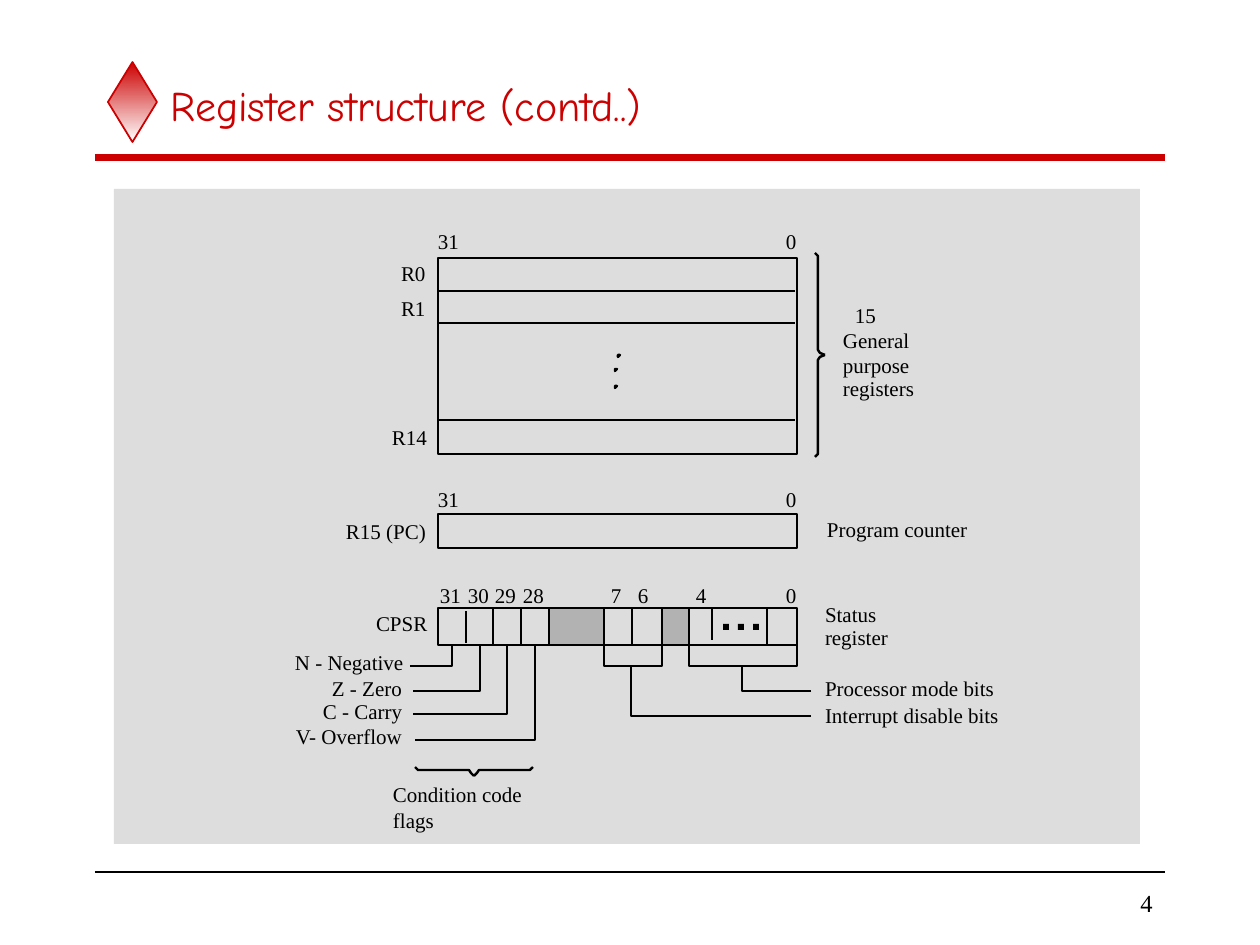
"""Build a slide on the register structure of a 32-bit processor."""
import dataclasses
import typing

import lxml.etree
import pptx
import pptx.dml.color
import pptx.enum.shapes
import pptx.enum.text
import pptx.oxml.ns
import pptx.util

EMU_PER_PX = 914400 / 126
SHAPES = pptx.enum.shapes.MSO_SHAPE
ALIGN = pptx.enum.text.PP_ALIGN
Point = tuple[int, int]


@dataclasses.dataclass(frozen=True)
class Theme:
    red: str = "CC0000"
    black: str = "000000"
    white: str = "FFFFFF"
    panel: str = "DDDDDD"
    unused: str = "B2B2B2"
    title_font: str = "Comic Neue"
    body_font: str = "Times New Roman"
    title_size: int = 24
    number_size: int = 14
    label_size: int = 12
    ink_width: float = 1.39


THEME = Theme()


class Box(typing.NamedTuple):
    left: int
    top: int
    width: int
    height: int


class Label(typing.NamedTuple):
    text: str
    left: int
    top: int
    width: int
    wraps: bool = False


class Stroke(typing.NamedTuple):
    start: Point
    end: Point
    color: str = THEME.black
    width: float = THEME.ink_width


GENERAL = Box(438, 258, 359, 196)
COUNTER = Box(438, 514, 359, 34)
STATUS = Box(438, 608, 359, 37)
UNUSED_BITS = [Box(549, 608, 55, 37), Box(662, 608, 27, 37)]
BIT_GROUPS = [Box(604, 645, 58, 21), Box(689, 645, 108, 21)]
RULES = [
    Stroke((95, 158), (1165, 158), THEME.red, 4),
    Stroke((95, 872), (1165, 872), width=1),
]
ROW_LINES = [Stroke((795, y), (438, y)) for y in (291, 323, 420)]
BIT_LINES = [Stroke((466, 643), (466, 611)), Stroke((712, 640), (712, 608))] + [
    Stroke((x, 645), (x, 608)) for x in (493, 521, 549, 604, 632, 662, 689, 767)
]
FLAG_LEADERS = [
    [(left, y), (bit, y), (bit, 645)]
    for left, bit, y in ((410, 452, 666), (413, 480, 691), (413, 507, 714), (415, 535, 740))
]
MODE_LEADERS = [[(811, y), (bit, y), (bit, 666)] for bit, y in ((742, 691), (631, 716))]
REGISTER_BRACE = [(815, 253), (818, 256), (818, 350), (820, 353), (825, 355)]
FLAG_BRACE = [(415, 767), (418, 770), (469, 770), (471, 773), (474, 776)]
ROW_DOTS = [(618, 355), (615, 369), (615, 386)]
BIT_DOTS = [Box(723 + 15 * step, 624, 6, 6) for step in range(3)]
STATUS_BITS = [
    Label(bit, left, 583, 12 * len(bit))
    for bit, left in (("31", 440), ("30", 468), ("29", 495), ("28", 523),
                      ("7", 611), ("6", 638), ("4", 696), ("0", 786))
]
END_BITS = [
    Label(bit, left, top, 12 * len(bit))
    for top in (229, 487) for bit, left in (("31", 438), ("0", 786))
]
NAMES = [
    Label("R0", 401, 261, 30),
    Label("R1", 401, 296, 30),
    Label("R14", 392, 425, 40),
    Label("R15 (PC)", 346, 519, 88),
    Label("CPSR", 376, 611, 58),
    Label("N - Negative", 295, 650, 114),
    Label("Z - Zero", 332, 676, 78),
    Label("C - Carry", 323, 699, 86),
    Label("V- Overflow", 296, 724, 114),
    Label("Condition code flags", 393, 782, 160, True),
    Label("15", 855, 303, 25),
    Label("General", 843, 328, 74),
    Label("purpose", 843, 353, 74),
    Label("registers", 843, 376, 78),
    Label("Program counter", 827, 517, 150),
    Label("Status", 825, 602, 58),
    Label("register", 825, 625, 70),
    Label("Processor mode bits", 825, 676, 180),
    Label("Interrupt disable bits", 825, 703, 184),
]


def px(length: int) -> int:
    """Turn px into EMU."""
    return pptx.util.Emu(round(length * EMU_PER_PX))


def rgb(color: str) -> pptx.dml.color.RGBColor:
    """Turn a hex string into a colour."""
    return pptx.dml.color.RGBColor.from_string(color)


def ink(line, color: str = THEME.black, width: float = THEME.ink_width) -> None:
    """Give a line its colour and width."""
    line.color.rgb = rgb(color)
    line.width = pptx.util.Pt(width)


def draw_box(slide, box: Box, fill: str | None = None, line: str | None = THEME.black,
             preset=SHAPES.RECTANGLE):
    """Draw a preset shape, open or filled."""
    shape = slide.shapes.add_shape(preset, *map(px, box))
    shape.shadow.inherit = False
    if fill:
        shape.fill.solid()
        shape.fill.fore_color.rgb = rgb(fill)
    else:
        shape.fill.background()
    if line:
        ink(shape.line, line)
    else:
        shape.line.fill.background()
    return shape


def draw_stroke(slide, stroke: Stroke) -> None:
    """Draw a straight line."""
    connector = slide.shapes.add_connector(
        pptx.enum.shapes.MSO_CONNECTOR.STRAIGHT, *map(px, stroke.start + stroke.end))
    ink(connector.line, stroke.color, stroke.width)
    lxml.etree.SubElement(connector.element.spPr, pptx.oxml.ns.qn("a:effectLst"))


def draw_outline(slide, points: list[Point], closed: bool = False) -> None:
    """Draw an unfilled outline through the points."""
    builder = slide.shapes.build_freeform(*points[0], scale=EMU_PER_PX)
    builder.add_line_segments(points[1:], close=closed)
    outline = builder.convert_to_shape()
    outline.shadow.inherit = False
    outline.fill.background()
    ink(outline.line)


def write(frame, text: str, size: int, font: str = THEME.body_font,
          color: str = THEME.black, align=ALIGN.LEFT, **frame_format) -> None:
    """Put formatted text into a frame."""
    frame.text = text
    for name, value in frame_format.items():
        setattr(frame, name, value)
    paragraph = frame.paragraphs[0]
    paragraph.alignment = align
    for name, value in {"size": pptx.util.Pt(size), "name": font}.items():
        setattr(paragraph.runs[0].font, name, value)
    paragraph.runs[0].font.color.rgb = rgb(color)


def draw_label(slide, label: Label) -> None:
    """Write a diagram label without insets."""
    box = slide.shapes.add_textbox(*map(px, (label.left, label.top, label.width, 25)))
    margins = {f"margin_{side}": 0 for side in ("left", "top", "right", "bottom")}
    write(box.text_frame, label.text, THEME.label_size, word_wrap=label.wraps,
          auto_size=pptx.enum.text.MSO_AUTO_SIZE.SHAPE_TO_FIT_TEXT, **margins)


def draw_frame(slide) -> None:
    """Draw the title, ornament, rules, page number and panel."""
    middle = pptx.enum.text.MSO_ANCHOR.MIDDLE
    title = slide.shapes.title
    for name, length in Box(158, 63, 1008, 84)._asdict().items():
        setattr(title, name, px(length))
    write(title.text_frame, "Register structure (contd..)", THEME.title_size,
          THEME.title_font, THEME.red, vertical_anchor=middle, word_wrap=True,
          auto_size=pptx.enum.text.MSO_AUTO_SIZE.NONE)
    diamond = draw_box(slide, Box(108, 62, 49, 80), line=THEME.red, preset=SHAPES.DIAMOND)
    diamond.line.width = pptx.util.Pt(1)
    diamond.fill.gradient()
    diamond.fill.gradient_angle = 270
    for stop, color in zip(diamond.fill.gradient_stops, (THEME.red, THEME.white)):
        stop.color.rgb = rgb(color)
    for rule in RULES:
        draw_stroke(slide, rule)
    number = slide.shapes.add_textbox(*map(px, (986, 882, 179, 42)))
    write(number.text_frame, "4", THEME.number_size, align=ALIGN.RIGHT,
          vertical_anchor=middle, word_wrap=True)
    draw_box(slide, Box(114, 189, 1026, 655), THEME.panel, None)


def draw_registers(slide) -> None:
    """Draw the registers with their bits, leaders, braces and labels."""
    for bits in UNUSED_BITS:
        draw_box(slide, bits, THEME.unused, THEME.white)
    for box in [GENERAL, COUNTER, STATUS] + BIT_GROUPS:
        draw_box(slide, box)
    for stroke in ROW_LINES + BIT_LINES:
        draw_stroke(slide, stroke)
    for leader in FLAG_LEADERS + MODE_LEADERS:
        draw_outline(slide, leader)
    tip_y, tip_x = REGISTER_BRACE[-1][1], FLAG_BRACE[-1][0]
    for half in (REGISTER_BRACE, [(x, 2 * tip_y - y) for x, y in REGISTER_BRACE],
                 FLAG_BRACE, [(2 * tip_x - x, y) for x, y in FLAG_BRACE]):
        draw_outline(slide, half)
    for x, y in ROW_DOTS:
        draw_outline(slide, [(x, y), (x, y + 2), (x + 2, y)], closed=True)
    for dot in BIT_DOTS:
        draw_box(slide, dot, THEME.black, None)
    for label in STATUS_BITS + END_BITS + NAMES:
        draw_label(slide, label)


def main() -> None:
    """Build and save the presentation."""
    deck = pptx.Presentation()
    deck.slide_width, deck.slide_height = px(1260), px(945)
    slide = deck.slides.add_slide(deck.slide_layouts[5])
    draw_frame(slide)
    draw_registers(slide)
    deck.save("out.pptx")


if __name__ == "__main__":
    main()
